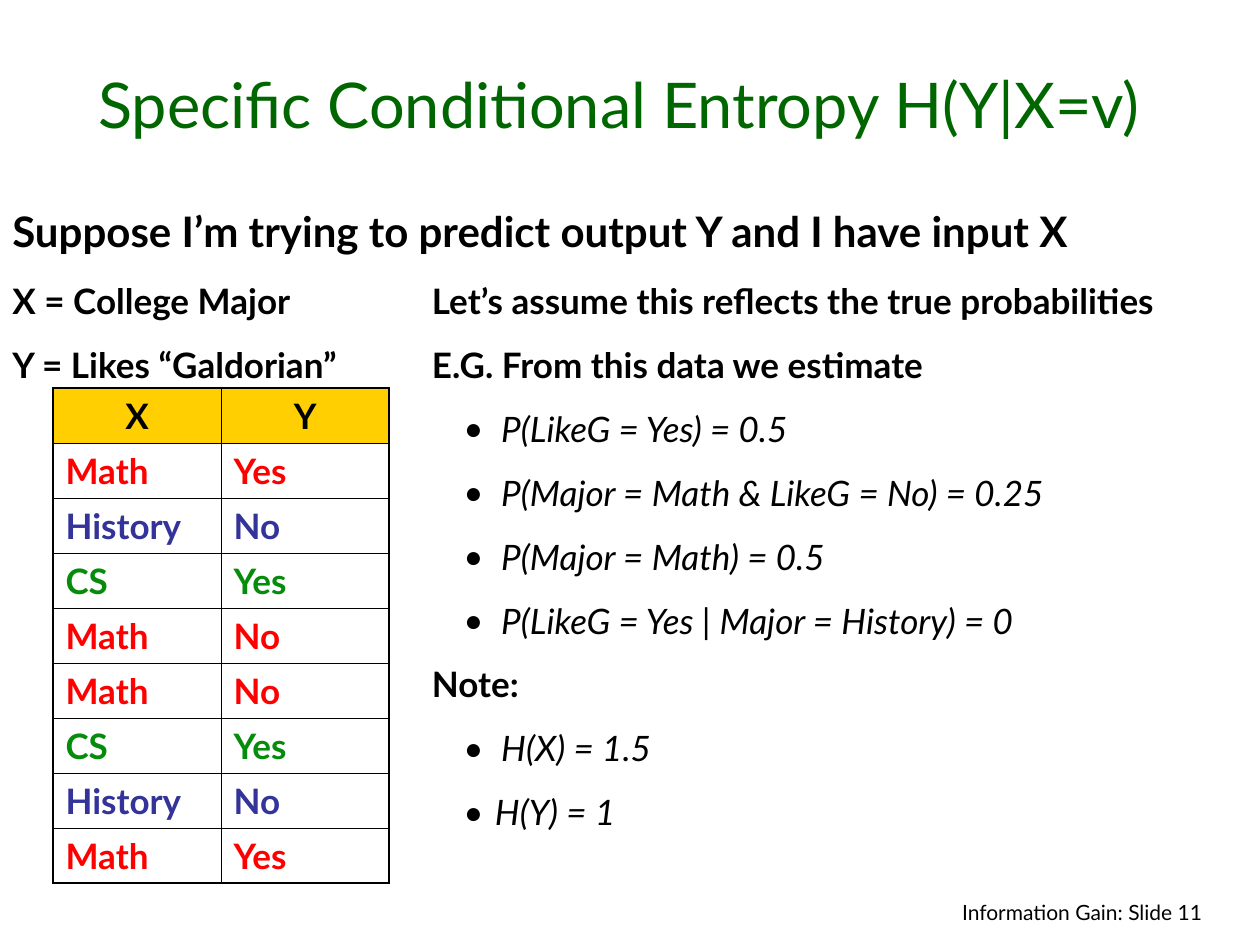
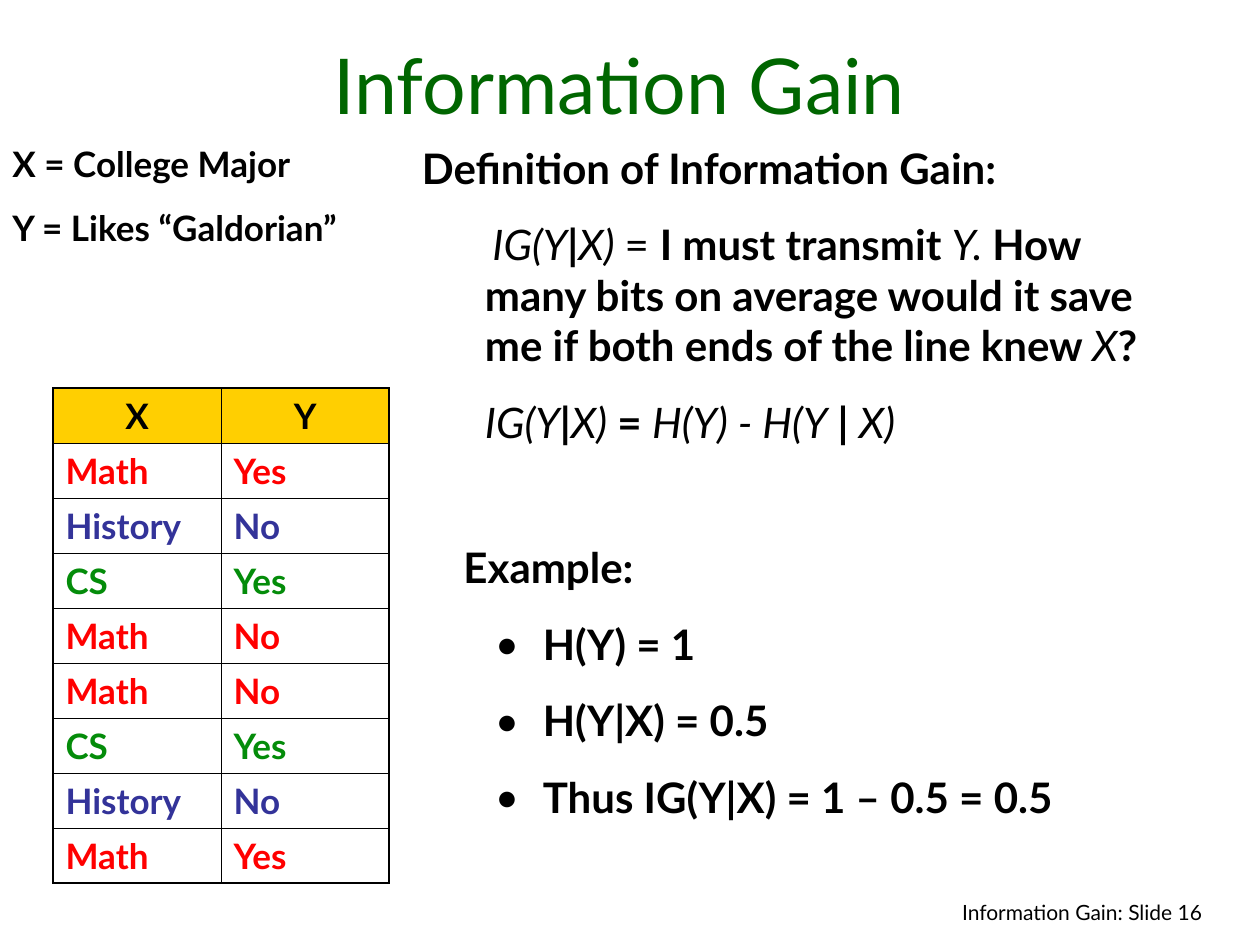
from lxml.etree import SubElement
from pptx import Presentation
from pptx.dml.color import RGBColor
from pptx.enum.text import MSO_ANCHOR, PP_ALIGN
from pptx.oxml import parse_xml
from pptx.oxml.ns import nsdecls, qn
from pptx.util import Inches, Pt

FONT = "Lato"
BLACK, TITLE_GREEN, HEADER_GOLD = "000000", "006600", "FFCF01"
MAJOR_COLORS = {"Math": "FF0000", "History": "333399", "CS": "048C0A"}
STUDENTS = [
    ("Math", "Yes"), ("History", "No"), ("CS", "Yes"), ("Math", "No"),
    ("Math", "No"), ("CS", "Yes"), ("History", "No"), ("Math", "Yes"),
]
VARIABLES = ["X = College Major", "Y = Likes “Galdorian”"]
OUTER_BORDER, INNER_BORDER = 1.08, 0.45
BULLET_LEFT = 0.25


def rgb(hex_color):
    return RGBColor.from_string(hex_color)


def add_run(paragraph, text, size, color=BLACK, style=""):
    """Style is "b" for bold, "i" for italic, or empty."""
    run = paragraph.add_run()
    run.text = text
    font = run.font
    font.name, font.size = FONT, Pt(size)
    font.color.rgb = rgb(color)
    font.bold, font.italic = "b" in style, "i" in style


def add_text_frame(slide, left, top, width, height, anchor=MSO_ANCHOR.TOP):
    box = slide.shapes.add_textbox(
        Inches(left), Inches(top), Inches(width), Inches(height))
    frame = box.text_frame
    frame.word_wrap = True
    frame.vertical_anchor = anchor
    return frame


def add_paragraph(frame, runs, size, left=0, first_line=0, bullet=False):
    """Append (text, style) runs as one paragraph, spaced from the one before."""
    paragraph = frame.paragraphs[0]
    if paragraph.runs:
        paragraph = frame.add_paragraph()
        paragraph.space_before = Pt(size * 0.625)
    properties = paragraph._p.get_or_add_pPr()
    properties.set("marL", str(Inches(left)))
    properties.set("indent", str(Inches(first_line)))
    if bullet:
        SubElement(properties, qn("a:buFont"), typeface=FONT)
        SubElement(properties, qn("a:buChar"), char="•")
    for text, style in runs:
        add_run(paragraph, text, size, style=style)


def add_bullet(frame, runs, size, left):
    add_paragraph(frame, runs, size, left, BULLET_LEFT - left, bullet=True)


def add_title(slide, title, size, height):
    frame = add_text_frame(slide, 0.25, 0.25, 9.33, height, MSO_ANCHOR.BOTTOM)
    paragraph = frame.paragraphs[0]
    paragraph.alignment = PP_ALIGN.CENTER
    add_run(paragraph, title, size, TITLE_GREEN)


def add_footer(slide, number):
    paragraph = add_text_frame(slide, 5.72, 7.09, 3.92, 0.33).paragraphs[0]
    paragraph.alignment = PP_ALIGN.RIGHT
    add_run(paragraph, f"Information Gain: Slide {number}", 12)


def add_variables(slide, top):
    frame = add_text_frame(slide, 0, top, 3.25, 1.45)
    for definition in VARIABLES:
        add_paragraph(frame, [(definition, "b")], 20)


def set_borders(cell, outer_edges):
    """Draw all four borders, heavier where the edge lies on the table's rim."""
    properties = cell._tc.get_or_add_tcPr()
    for position, edge in enumerate("LRTB"):
        width = Pt(OUTER_BORDER if edge in outer_edges else INNER_BORDER)
        properties.insert(position, parse_xml(
            f'<a:ln{edge} {nsdecls("a")} w="{width}"><a:solidFill>'
            f'<a:srgbClr val="{BLACK}"/></a:solidFill></a:ln{edge}>'))


def add_student_table(slide):
    rows = [("X", "Y")] + STUDENTS
    table = slide.shapes.add_table(
        len(rows), 2, Inches(0.42), Inches(3.08),
        Inches(2.67), Inches(3.93)).table
    table.first_row = table.horz_banding = False
    for row, values in enumerate(rows):
        for column, value in enumerate(values):
            cell = table.cell(row, column)
            paragraph = cell.text_frame.paragraphs[0]
            if row == 0:
                cell.fill.solid()
                cell.fill.fore_color.rgb = rgb(HEADER_GOLD)
                paragraph.alignment = PP_ALIGN.CENTER
            else:
                cell.fill.background()
            color = MAJOR_COLORS.get(values[0], BLACK)
            add_run(paragraph, value, 20, color, "b")
            rim = "LR"[column]
            if row == 0:
                rim += "T"
            elif row == len(rows) - 1:
                rim += "B"
            set_borders(cell, rim)


def add_content_slide(prs, title, title_size, title_height, variables_top,
                      number):
    slide = prs.slides.add_slide(prs.slide_layouts[6])
    add_footer(slide, number)
    add_title(slide, title, title_size, title_height)
    add_variables(slide, variables_top)
    add_student_table(slide)
    return slide


def build_conditional_entropy(prs):
    slide = add_content_slide(
        prs, "Specific Conditional Entropy H(Y|X=v)", 36, 0.92, 2.17, 11)
    premise = add_text_frame(slide, 0, 1.58, 10, 0.5)
    add_paragraph(premise, [(
        "Suppose I’m trying to predict output Y and I have input X", "b")], 24)

    estimates = add_text_frame(slide, 3.33, 2.17, 6.17, 5.33)
    for statement in ("Let’s assume this reflects the true probabilities",
                      "E.G. From this data we estimate"):
        add_paragraph(estimates, [(statement, "b")], 20)
    for probability in ("P(LikeG = Yes) = 0.5",
                        "P(Major = Math & LikeG = No) = 0.25",
                        "P(Major = Math) = 0.5"):
        add_bullet(estimates, [(probability, "i")], 20, 0.55)
    add_bullet(estimates, [("P(LikeG = Yes ", "i"), ("| ", ""),
                           ("Major = History) = 0", "i")], 20, 0.55)
    add_paragraph(estimates, [("Note:", "b")], 20)
    add_bullet(estimates, [("H(X) = 1.5", "i")], 20, 0.55)
    add_bullet(estimates, [("H(Y) = 1", "i")], 20, 0.5)


def build_information_gain(prs):
    slide = add_content_slide(prs, "Information Gain", 44, 0.83, 1.08, 16)
    definition = add_text_frame(slide, 3.25, 1.08, 6.17, 2.92)
    add_paragraph(definition, [("Definition of Information Gain:", "b")], 24)
    add_paragraph(definition, [
        ("IG(Y", "i"), ("|", "b"), ("X) ", "i"), ("= ", ""),
        ("I must transmit ", "b"), ("Y. ", "i"),
        ("How many bits on average would it save me if both ends of the line "
         "knew ", "b"),
        ("X", "i"), ("?", "b")], 24, left=0.5, first_line=0.06)
    add_paragraph(definition, [
        ("IG(Y", "i"), ("|", "b"), ("X)", "i"), (" = ", "b"),
        ("H(Y) - H(Y", "i"), (" | ", "b"), ("X)", "i")], 24, left=0.5)

    example = add_text_frame(slide, 3.58, 4.25, 6.42, 2.33)
    add_paragraph(example, [("Example:", "b")], 24)
    for step in ("H(Y) = 1", "H(Y|X) = 0.5", "Thus IG(Y|X) = 1 – 0.5 = 0.5"):
        add_bullet(example, [(step, "b")], 24, 0.63)


def main():
    prs = Presentation()
    prs.slide_width, prs.slide_height = Inches(10), Inches(7.5)
    build_conditional_entropy(prs)
    build_information_gain(prs)
    prs.save("out.pptx")


if __name__ == "__main__":
    main()
